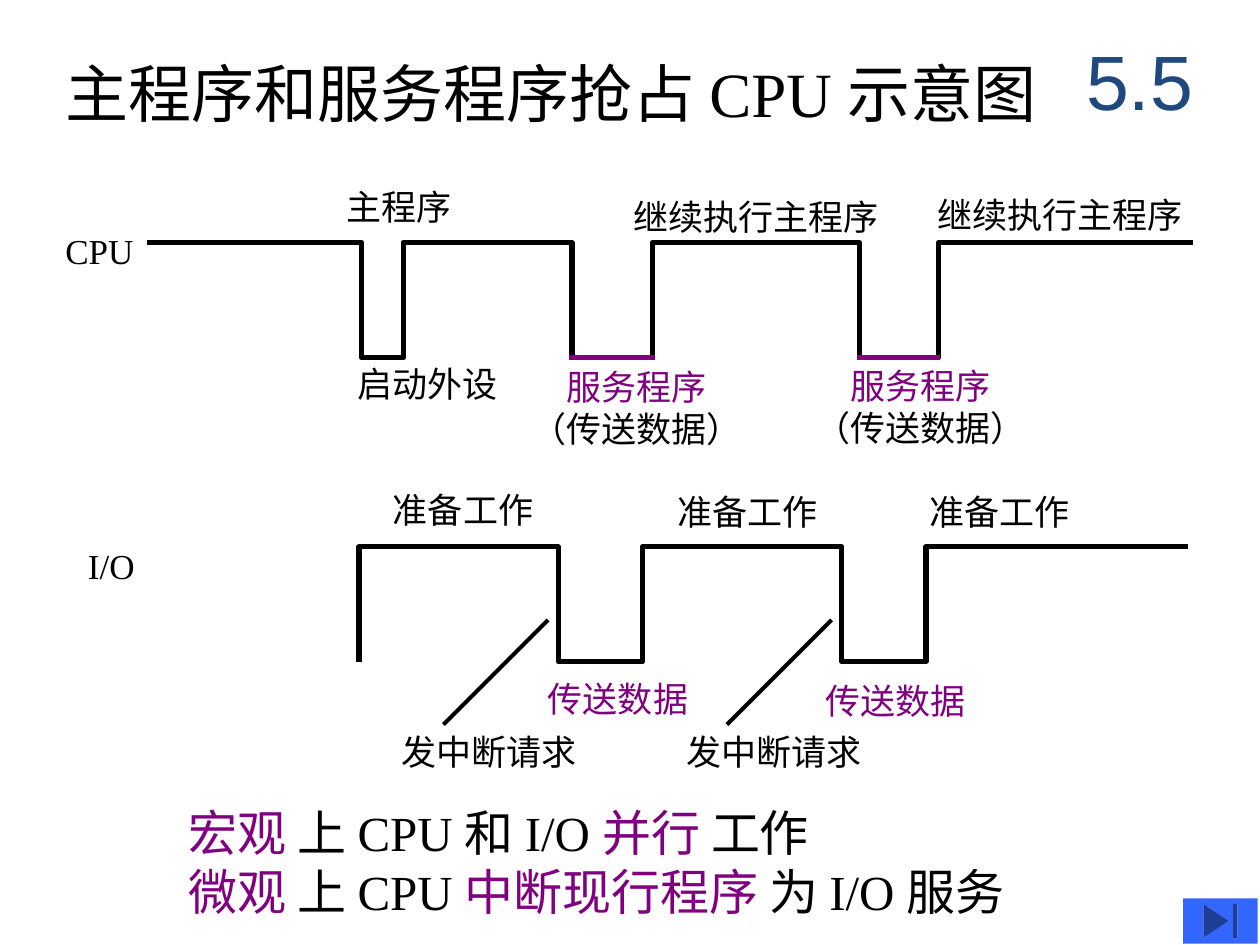
import pptx
import pptx.dml.color
import pptx.enum.shapes
import pptx.enum.text
import pptx.util
import lxml.etree

BLACK, PURPLE, NAVY, BLUE = "000000", "800080", "1F497D", "3366FF"
ALIGN = pptx.enum.text.PP_ALIGN
SERIF = "Times New Roman"

deck = pptx.Presentation()
deck.slide_width = pptx.util.Inches(10)
deck.slide_height = pptx.util.Inches(7.5)
page = deck.slides.add_slide(deck.slide_layouts[6])

# Grid of 100 columns by 75 rows, with square cells
cell = deck.slide_width / 100
rgb = pptx.dml.color.RGBColor.from_string


def add_text(place, lines, size=20, font=SERIF, align=ALIGN.LEFT, wrap=False):
    """Each line is a list of (text, colour) spans."""
    box = page.shapes.add_textbox(*[round(value * cell) for value in place])
    frame = box.text_frame
    frame.word_wrap = wrap
    if not wrap:
        frame.auto_size = pptx.enum.text.MSO_AUTO_SIZE.SHAPE_TO_FIT_TEXT
    for number, line in enumerate(lines):
        para = frame.add_paragraph() if number else frame.paragraphs[0]
        para.alignment = align
        para.font.size = pptx.util.Pt(size)
        para.font.name = font
        for text, colour in line:
            span = para.add_run()
            span.text = text
            span.font.color.rgb = rgb(colour)
    return frame


def add_line(start, end, colour, weight):
    line = page.shapes.add_connector(
        pptx.enum.shapes.MSO_CONNECTOR.STRAIGHT,
        *[round(value * cell) for value in (*start, *end)])
    line.line.color.rgb = rgb(colour)
    line.line.width = pptx.util.Pt(weight)
    lxml.etree.SubElement(line._element.spPr, pptx.oxml.ns.qn("a:effectLst"))


# Title and section number
add_text((4.2, 3.8, 81.3, 13), [[("主程序和服务程序抢占 CPU 示意图", BLACK)]], 36, wrap=True)
number_frame = add_text((84.2, 1.7, 12.5, 9.2), [[("5.5", NAVY)]], 44, "Arial",
                        ALIGN.CENTER, wrap=True)
number_frame.vertical_anchor = pptx.enum.text.MSO_ANCHOR.MIDDLE

# Square waves: start column, columns where the level flips, end column,
# then the first level and the other level
cpu_high, cpu_low, io_high, io_low = 19.25, 28.4, 43.4, 52.5
waves = [
    (11.7, [28.7, 32, 45.4, 51.8, 68.2, 74.5], 94.7, cpu_high, cpu_low),
    (28.5, [28.5, 44.3, 51, 66.8, 73.5], 94.3, io_low, io_high),
]
for start, flips, end, level, other in waves:
    builder = page.shapes.build_freeform(round(start * cell), round(level * cell))
    points = []
    for flip in flips:
        if flip != start:
            points.append((flip, level))
        level, other = other, level
        points.append((flip, level))
    points.append((end, level))
    builder.add_line_segments(
        [(round(x * cell), round(y * cell)) for x, y in points], close=False)
    wave = builder.convert_to_shape()
    wave.shadow.inherit = False
    wave.fill.background()
    wave.line.color.rgb = rgb(BLACK)
    wave.line.width = pptx.util.Pt(3)

# Service periods on the CPU wave, and interrupt request pointers
for left, right in ((45.2, 52), (68, 74.6)):
    add_line((left, cpu_low), (right, cpu_low), PURPLE, 3)
for left in (35.2, 57.7):
    add_line((left, 57.5), (left + 8.3, 49.2), BLACK, 2.25)

# One-line labels: text, colour, width, then the top left corners
labels = [
    ("CPU", BLACK, 7.4, [(4.2, 17.7)]),
    ("I/O", BLACK, 5.7, [(6, 42.7)]),
    ("主程序", BLACK, 10.4, [(26.5, 14.2)]),
    ("继续执行主程序", BLACK, 21.5, [(49.3, 15), (73.4, 14.9)]),
    ("启动外设", BLACK, 13.1, [(27.4, 28.3)]),
    ("准备工作", BLACK, 13.1, [(30.2, 38.3), (52.8, 38.4), (72.8, 38.4)]),
    ("传送数据", PURPLE, 13.1, [(42.5, 53.3), (64.5, 53.4)]),
    ("发中断请求", BLACK, 15.9, [(30.9, 57.5), (53.5, 57.5)]),
]
for text, colour, width, corners in labels:
    for left, top in corners:
        add_text((left, top, width, 4.4), [[(text, colour)]])

# Service routine labels
for left, top in ((41.2, 28.5), (63.7, 28.4)):
    add_text((left, top, 18.7, 7.7),
             [[("服务程序", PURPLE)], [("（传送数据）", BLACK)]], align=ALIGN.CENTER)

# Conclusion
add_text((14, 63.2, 80.2, 10.4), [
    [("宏观 ", PURPLE), ("上 CPU 和 I/O ", BLACK), ("并行 ", PURPLE), ("工作", BLACK)],
    [("微观 ", PURPLE), ("上 CPU ", BLACK), ("中断现行程序 ", PURPLE), ("为 I/O 服务", BLACK)],
], 28, wrap=True)

# Button to the last page
button = page.shapes.add_shape(
    pptx.enum.shapes.MSO_SHAPE.ACTION_BUTTON_END,
    *[round(value * cell) for value in (93.9, 71.3, 5.9, 3.6)])
button.shadow.inherit = False
button.fill.solid()
button.fill.fore_color.rgb = rgb(BLUE)
button.line.fill.background()

deck.save("out.pptx")
